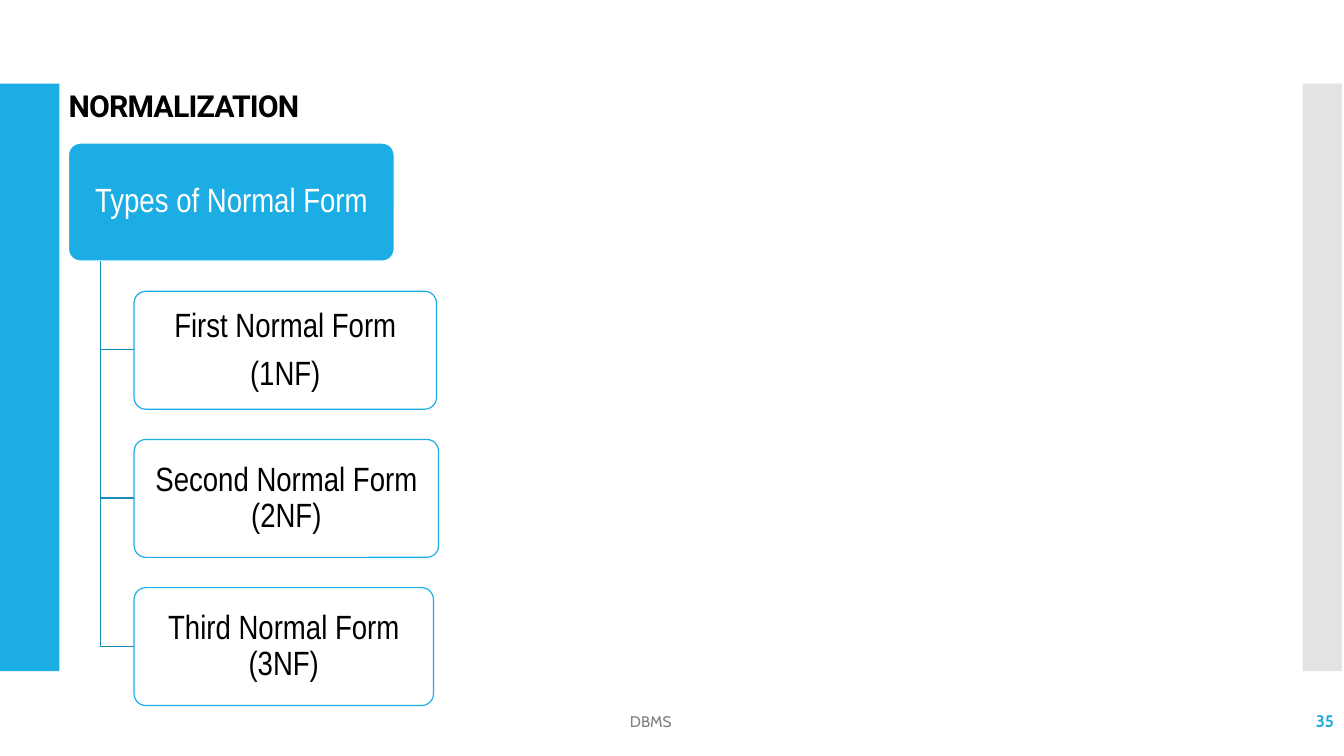
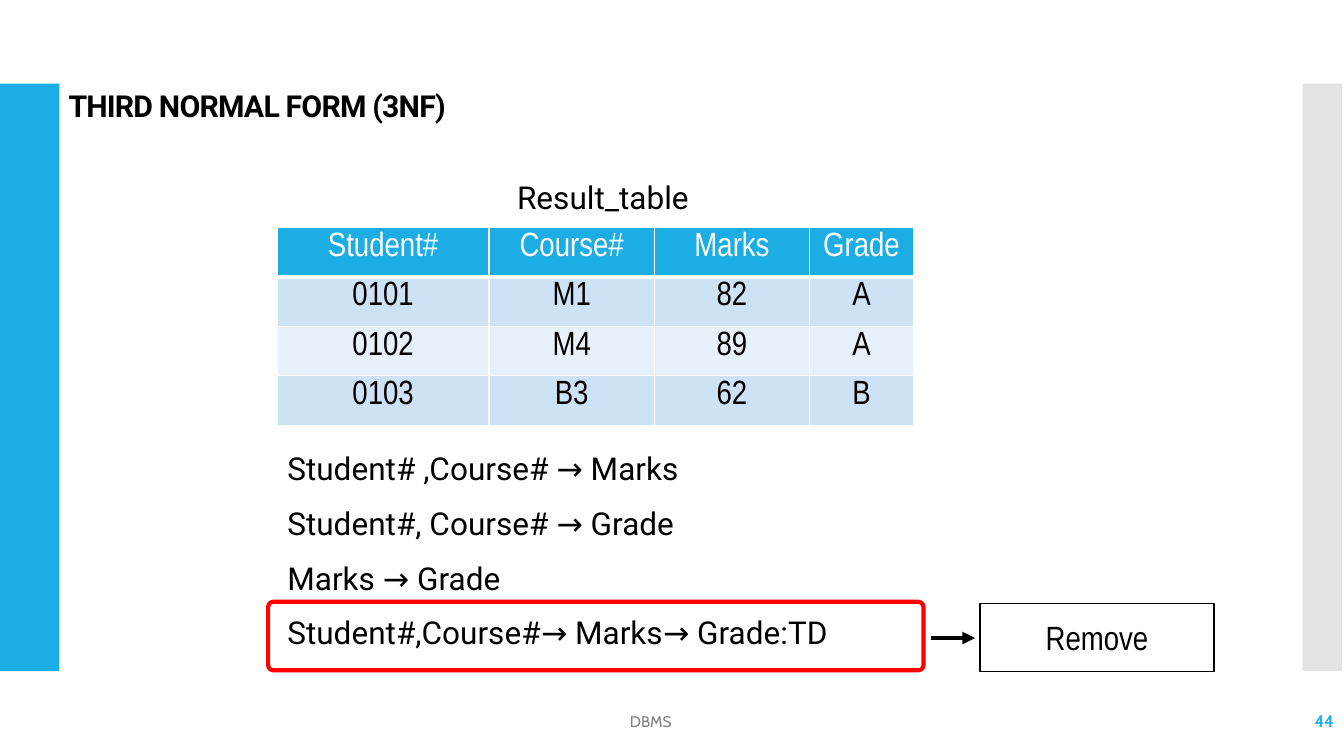
import lxml.etree
import pptx
import pptx.dml.color
import pptx.enum.shapes
import pptx.enum.text
import pptx.oxml.ns
import pptx.util

PX = 9144
BLUE = pptx.dml.color.RGBColor(0x1C, 0xAD, 0xE4)
DARK_BLUE = pptx.dml.color.RGBColor(0x16, 0x8B, 0xB7)
PALE_BLUE = pptx.dml.color.RGBColor(0xCD, 0xE3, 0xF5)
PALEST_BLUE = pptx.dml.color.RGBColor(0xE8, 0xF1, 0xFA)
LIGHT_GRAY = pptx.dml.color.RGBColor(0xE3, 0xE3, 0xE3)
GRAY = pptx.dml.color.RGBColor(0x80, 0x80, 0x80)
RED = pptx.dml.color.RGBColor(0xFF, 0x00, 0x00)
BLACK = pptx.dml.color.RGBColor(0x00, 0x00, 0x00)
WHITE = pptx.dml.color.RGBColor(0xFF, 0xFF, 0xFF)

SHAPE = pptx.enum.shapes.MSO_SHAPE
ALIGN = pptx.enum.text.PP_ALIGN
ANCHOR = pptx.enum.text.MSO_ANCHOR
qn = pptx.oxml.ns.qn

TITLE_FONT = {"name": "Roboto", "size": pptx.util.Pt(21.6), "bold": True}
BODY_FONT = {"name": "Roboto", "size": pptx.util.Pt(22.5)}
NARROW_FONT = {"name": "Arial Narrow", "size": pptx.util.Pt(24)}
FOOTER_FONT = {"name": "Cabin", "size": pptx.util.Pt(11)}
NUMBER_FONT = {"name": "Cabin", "size": pptx.util.Pt(12), "bold": True}


def write(frame, lines, font, colour, anchor=ANCHOR.TOP, **paragraph_format):
    frame.word_wrap = True
    frame.auto_size = pptx.enum.text.MSO_AUTO_SIZE.NONE
    frame.vertical_anchor = anchor
    for index, line in enumerate(lines):
        paragraph = frame.add_paragraph() if index else frame.paragraphs[0]
        for name, value in paragraph_format.items():
            if index or name != "space_before":
                setattr(paragraph, name, value)
        run = paragraph.add_run()
        run.text = line
        for name, value in font.items():
            setattr(run.font, name, value)
        run.font.color.rgb = colour


def add_box(slide, kind, bounds, fill=None, line=None, width=0.85, radius=None):
    shape = slide.shapes.add_shape(kind, *[length * PX for length in bounds])
    shape.shadow.inherit = False
    if radius is not None:
        shape.adjustments[0] = radius
    if fill is None:
        shape.fill.background()
    else:
        shape.fill.solid()
        shape.fill.fore_color.rgb = fill
    if line is None:
        shape.line.fill.background()
    else:
        shape.line.color.rgb = line
        shape.line.width = pptx.util.Pt(width)
    return shape


presentation = pptx.Presentation()
presentation.slide_width = 1333 * PX
presentation.slide_height = 750 * PX
layout = presentation.slide_layouts[5]

slides = []
for title, number in [("NORMALIZATION", "35"), ("THIRD NORMAL FORM (3NF)", "44")]:
    slide = presentation.slides.add_slide(layout)
    slides.append(slide)
    placeholder = slide.shapes.title
    for name, value in {"left": 58, "top": 86, "width": 1044, "height": 40}.items():
        setattr(placeholder, name, value * PX)
    write(placeholder.text_frame, [title], TITLE_FONT, BLACK,
          alignment=ALIGN.LEFT, line_spacing=0.9)
    placeholder.text_frame.paragraphs[0].runs[0].font._element.set("spc", "-60")
    for bounds, text, font, colour, alignment in [
        ((329, 696, 633, 39), "DBMS", FOOTER_FONT, GRAY, ALIGN.CENTER),
        ((1166, 695, 167, 40), number, NUMBER_FONT, BLUE, ALIGN.RIGHT),
    ]:
        text_box = slide.shapes.add_textbox(*[length * PX for length in bounds])
        write(text_box.text_frame, [text], font, colour, ANCHOR.MIDDLE, alignment=alignment)

types_slide, third_form_slide = slides

for left, width, colour in [(0, 59, BLUE), (1292, 39, LIGHT_GRAY)]:
    band = add_box(types_slide, SHAPE.RECTANGLE, (left, 83, width, 583), colour)
    layout.shapes._spTree.append(band._element)

BOX_TOP, BOX_HEIGHT, BOX_STEP = 142, 117, 147
TRUNK_LEFT, BRANCH_RIGHT = 100, 133
normal_forms = [
    (68, 323, ["Types of Normal Form"]),
    (BRANCH_RIGHT, 300, ["First Normal Form", "(1NF)"]),
    (BRANCH_RIGHT, 302, ["Second Normal Form (2NF)"]),
    (BRANCH_RIGHT, 297, ["Third Normal Form (3NF)"]),
]
for index, (left, width, lines) in enumerate(normal_forms):
    top = BOX_TOP + index * BOX_STEP
    fill, line, colour = (WHITE, BLUE, BLACK) if index else (BLUE, WHITE, WHITE)
    if index:
        middle = top + BOX_HEIGHT // 2
        builder = types_slide.shapes.build_freeform(TRUNK_LEFT, BOX_TOP + BOX_HEIGHT, scale=PX)
        builder.add_line_segments([(TRUNK_LEFT, middle), (BRANCH_RIGHT, middle)], close=False)
        branch = builder.convert_to_shape()
        branch.shadow.inherit = False
        branch.fill.background()
        branch.line.color.rgb = DARK_BLUE
        branch.line.width = pptx.util.Pt(0.85)
    box = add_box(types_slide, SHAPE.ROUNDED_RECTANGLE, (left, top, width, BOX_HEIGHT),
                  fill, line, radius=0.1)
    for side, margin in {"left": 5, "right": 5, "top": 3, "bottom": 3}.items():
        setattr(box.text_frame, f"margin_{side}", margin * PX)
    write(box.text_frame, lines, NARROW_FONT, colour, ANCHOR.MIDDLE, alignment=ALIGN.CENTER,
          line_spacing=0.9, space_after=pptx.util.Pt(8.4))

caption = third_form_slide.shapes.add_textbox(503 * PX, 172 * PX, 211 * PX, 48 * PX)
write(caption.text_frame, ["Result_table"], BODY_FONT, BLACK)

results = [
    ["Student#", "Course#", "Marks", "Grade"],
    ["0101", "M1", "82", "A"],
    ["0102", "M4", "89", "A"],
    ["0103", "B3", "62", "B"],
]
column_widths = [210, 164, 154, 103]
ROW_HEIGHT = 49
table = third_form_slide.shapes.add_table(
    len(results), len(column_widths), 275 * PX, 226 * PX,
    sum(column_widths) * PX, len(results) * ROW_HEIGHT * PX).table
for column, width in zip(table.columns, column_widths):
    column.width = width * PX
for row_index, values in enumerate(results):
    table.rows[row_index].height = ROW_HEIGHT * PX
    fill = [PALEST_BLUE, PALE_BLUE][row_index % 2] if row_index else BLUE
    for column_index, value in enumerate(values):
        cell = table.cell(row_index, column_index)
        for side, margin in {"left": 9, "right": 9, "top": 4, "bottom": 4}.items():
            setattr(cell, f"margin_{side}", margin * PX)
        properties = cell._tc.get_or_add_tcPr()
        thick_edge = {0: "lnB", 1: "lnT"}.get(row_index)
        for edge in ("lnL", "lnR", "lnT", "lnB"):
            width = pptx.util.Pt(3 if edge == thick_edge else 1)
            border = lxml.etree.SubElement(properties, qn(f"a:{edge}"), w=str(width))
            solid = lxml.etree.SubElement(border, qn("a:solidFill"))
            lxml.etree.SubElement(solid, qn("a:srgbClr"), val=str(WHITE))
        cell.fill.solid()
        cell.fill.fore_color.rgb = fill
        paragraph = cell.text_frame.paragraphs[0]
        paragraph.alignment = ALIGN.CENTER
        run = paragraph.add_run()
        run.text = value
        for name, setting in {**NARROW_FONT, "bold": False}.items():
            setattr(run.font, name, setting)
        run.font.color.rgb = BLACK if row_index else WHITE

dependencies = [
    "Student# ,Course# → Marks",
    "Student#, Course# → Grade",
    "Marks → Grade",
    "Student#,Course#→ Marks→ Grade:TD",
]
dependency_box = third_form_slide.shapes.add_textbox(266 * PX, 441 * PX, 586 * PX, 218 * PX)
dependency_box.text_frame.margin_left = 19 * PX
write(dependency_box.text_frame, dependencies, BODY_FONT, BLACK,
      space_before=pptx.util.Pt(12))

add_box(third_form_slide, SHAPE.ROUNDED_RECTANGLE, (266, 597, 650, 68),
        line=RED, width=3, radius=0.076)
remove_box = add_box(third_form_slide, SHAPE.RECTANGLE, (972, 599, 232, 67), line=BLACK)
write(remove_box.text_frame, ["Remove"], NARROW_FONT, BLACK, ANCHOR.MIDDLE,
      alignment=ALIGN.CENTER)

arrow = third_form_slide.shapes.add_connector(
    pptx.enum.shapes.MSO_CONNECTOR.STRAIGHT, 923 * PX, 633 * PX, 967 * PX, 633 * PX)
arrow.line.color.rgb = BLACK
arrow.line.width = pptx.util.Pt(3)
lxml.etree.SubElement(arrow.line._get_or_add_ln(), qn("a:tailEnd"), type="triangle")
lxml.etree.SubElement(arrow._element.spPr, qn("a:effectLst"))

presentation.save("out.pptx")
